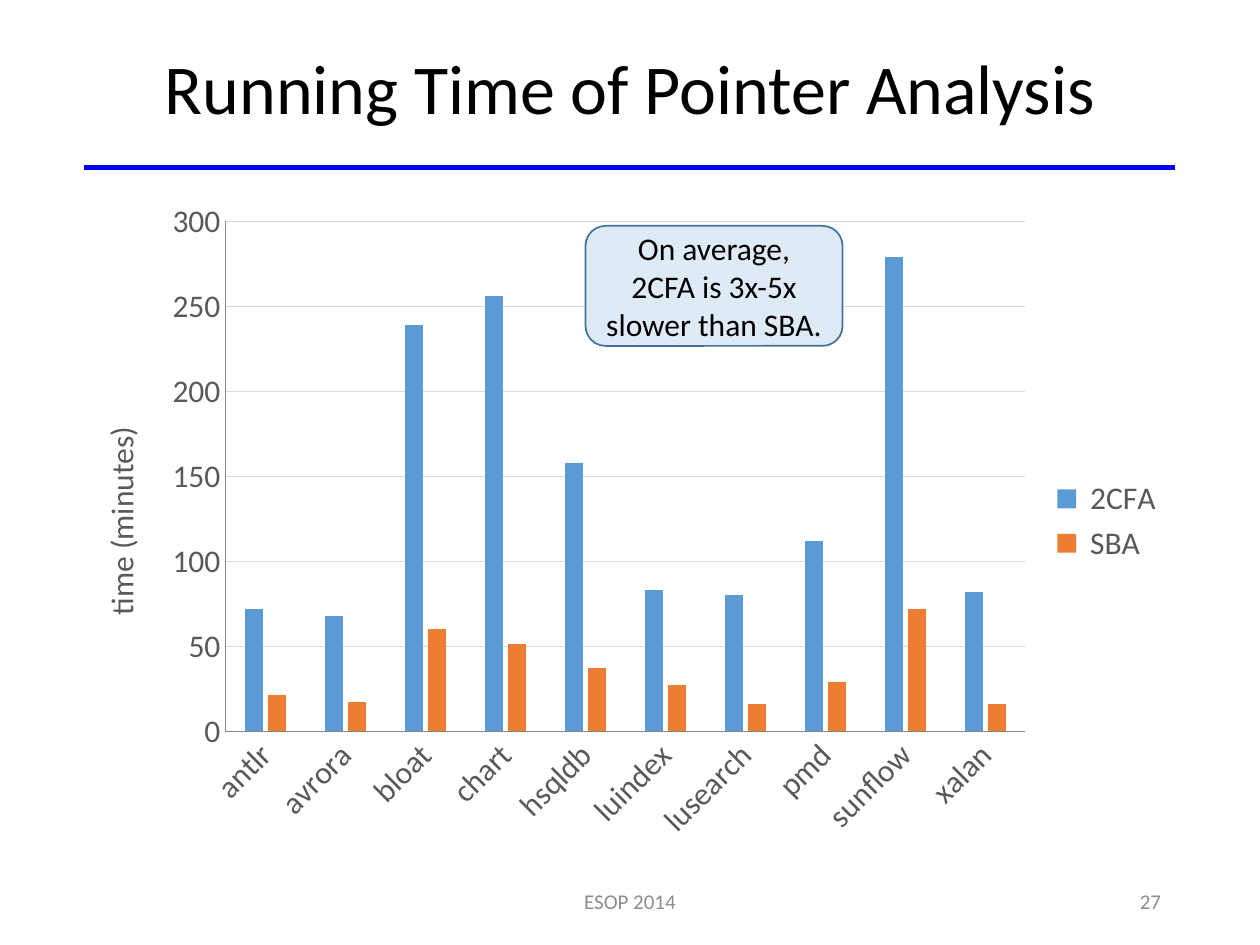
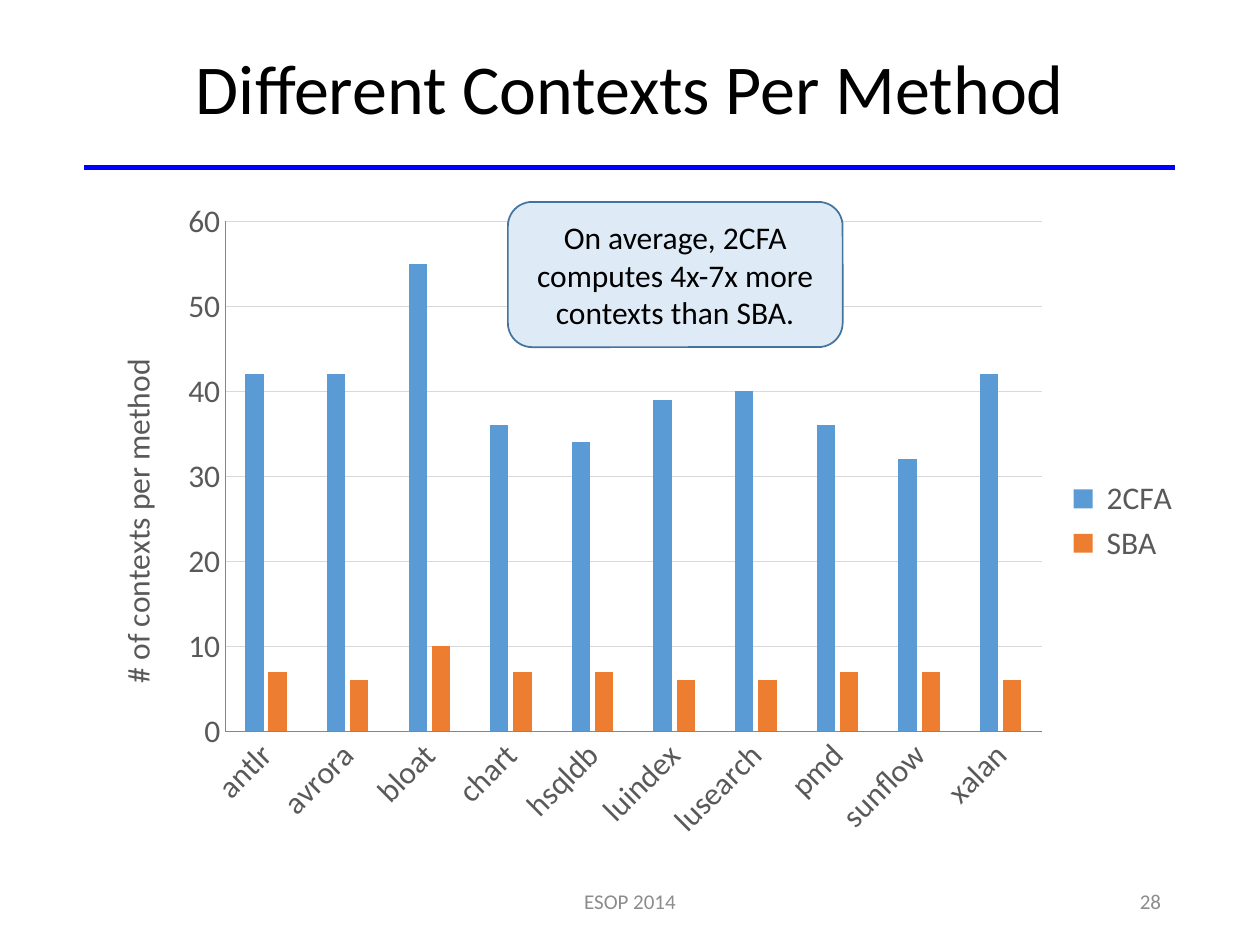
from lxml import etree
from pptx import Presentation
from pptx.chart.data import CategoryChartData
from pptx.dml.color import RGBColor
from pptx.enum.chart import XL_CHART_TYPE, XL_LEGEND_POSITION, XL_TICK_MARK
from pptx.enum.shapes import MSO_CONNECTOR, MSO_SHAPE
from pptx.enum.text import MSO_ANCHOR, PP_ALIGN
from pptx.oxml.ns import qn
from pptx.util import Pt

COLUMN = XL_CHART_TYPE.COLUMN_CLUSTERED
LEGEND_RIGHT = XL_LEGEND_POSITION.RIGHT
NO_TICK = XL_TICK_MARK.NONE
STRAIGHT = MSO_CONNECTOR.STRAIGHT
ROUND = MSO_SHAPE.ROUNDED_RECTANGLE
MIDDLE = MSO_ANCHOR.MIDDLE
CENTER, RIGHT = PP_ALIGN.CENTER, PP_ALIGN.RIGHT

FONT = "Calibri"
COLORS = {
    "text": "000000", "label": "595959", "foot": "8C8C8C", "rule": "0000FF",
    "axis": "868686", "grid": "D9D9D9", "note": "DEEBF7", "edge": "43739E",
    "2CFA": "5B9BD5", "SBA": "ED7D31",
}
TESTS = ["antlr", "avrora", "bloat", "chart", "hsqldb",
         "luindex", "lusearch", "pmd", "sunflow", "xalan"]

# "inner" (the bars' area) and "head" (the axis title) are in points from
# the chart's corner.
SLIDES = [
    dict(title="Running Time of Pointer Analysis", page=27,
         note="On average, 2CFA is 3x-5x slower than SBA.",
         note_box=(334.6, 129.1, 146.9, 68.6),
         plot=dict(box=(40.3, 108, 632, 379.5), axis="time (minutes)",
                   top=300, step=50, inner=(88.5, 18.5, 457.2, 291.4),
                   head=(13.2, 132.6),
                   rows={"2CFA": [72, 68, 239, 256, 158, 83, 80, 112, 279, 82],
                         "SBA": [21, 17, 60, 51, 37, 27, 16, 29, 72, 16]})),
    dict(title="Different Contexts Per Method", page=28,
         note="On average, 2CFA computes 4x-7x more contexts than SBA.",
         note_box=(290.2, 115.4, 191.3, 83),
         plot=dict(box=(49.7, 108, 632, 379.5), axis="# of contexts per method",
                   top=60, step=10, inner=(79, 18.5, 466.5, 291.4),
                   head=(13.2, 94.1),
                   rows={"2CFA": [42, 42, 55, 36, 34, 39, 40, 36, 32, 42],
                         "SBA": [7, 6, 10, 7, 7, 6, 6, 7, 7, 6]})),
]


def rgb(name):
    return RGBColor.from_string(COLORS[name])


def style(font, size=18, color="label"):
    font.name, font.size, font.bold = FONT, Pt(size), False
    font.color.rgb = rgb(color)


def stroke(line, color, width):
    line.color.rgb = rgb(color)
    line.width = Pt(width)


def write(frame, text, size=18, color="text", align=CENTER, space=1.0):
    frame.word_wrap = True
    frame.vertical_anchor = MIDDLE
    para = frame.paragraphs[0]
    para.alignment, para.line_spacing = align, space
    run = para.add_run()
    run.text = text
    style(run.font, size, color)


def add_text(slide, box, text, **form):
    write(slide.shapes.add_textbox(*map(Pt, box)).text_frame, text, **form)


def add_frame(slide, title, page):
    """Draw the title, the rule below it and the footer."""
    add_text(slide, (49.5, 11, 621, 83), title, size=40, space=0.9)
    rule = slide.shapes.add_connector(
        STRAIGHT, Pt(48.3), Pt(95.7), Pt(671.7), Pt(95.7))
    stroke(rule.line, "rule", 3)
    etree.SubElement(rule._element.spPr, qn("a:effectLst"))
    foot = dict(size=12, color="foot")
    add_text(slide, (238.5, 500.5, 243, 28.8), "ESOP 2014", **foot)
    add_text(slide, (508.5, 500.5, 162, 28.8), str(page), align=RIGHT, **foot)


def set_layout(part, box, spot, inner=False):
    """Pin a chart part at a spot given in points within the chart's box."""
    layout = part.find(qn("c:layout"))
    if layout is None:
        layout = etree.Element(qn("c:layout"))
        text = part.find(qn("c:tx"))
        if text is None:
            part.insert(0, layout)
        else:
            text.addnext(layout)
    for child in list(layout):
        layout.remove(child)
    manual = etree.SubElement(layout, qn("c:manualLayout"))
    rules = {"layoutTarget": "inner"} if inner else {}
    rules.update(xMode="edge", yMode="edge")
    wide, high = box[2:]
    for key, value, full in zip("xywh", spot, (wide, high, wide, high)):
        rules[key] = value / full
    for key, value in rules.items():
        etree.SubElement(manual, qn("c:" + key)).set("val", str(value))


def add_plot(slide, box, axis, top, step, inner, head, rows):
    data = CategoryChartData()
    data.categories = TESTS
    for name, values in rows.items():
        data.add_series(" " + name, values)
    chart = slide.shapes.add_chart(COLUMN, *map(Pt, box), data).chart
    style(chart.font, color="text")
    chart.has_title = False
    chart.has_legend = True
    chart.legend.position = LEGEND_RIGHT
    chart.legend.include_in_layout = False
    style(chart.legend.font)

    bars = chart.plots[0]
    bars.gap_width, bars.overlap, bars.vary_by_categories = 219, -27, False
    for name, series in zip(rows, bars.series):
        series.format.fill.solid()
        series.format.fill.fore_color.rgb = rgb(name)

    tests, scale = chart.category_axis, chart.value_axis
    for side in (tests, scale):
        side.major_tick_mark = side.minor_tick_mark = NO_TICK
        style(side.tick_labels.font)
        stroke(side.format.line, "axis", 0.75)
    turn = tests._element.find(qn("c:txPr")).find(qn("a:bodyPr"))
    turn.set("rot", "-2700000")
    scale.minimum_scale, scale.maximum_scale = 0, top
    scale.major_unit = step
    stroke(scale.major_gridlines.format.line, "grid", 0.75)

    frame = scale.axis_title.text_frame
    frame.text = axis
    style(frame.paragraphs[0].runs[0].font)
    frame._txBody.find(qn("a:bodyPr")).set("rot", "-5400000")
    set_layout(scale.axis_title._element, box, head)
    set_layout(chart._chartSpace.chart.plotArea, box, inner, inner=True)


def add_note(slide, box, text):
    note = slide.shapes.add_shape(ROUND, *map(Pt, box))
    note.shadow.inherit = False
    note.fill.solid()
    note.fill.fore_color.rgb = rgb("note")
    stroke(note.line, "edge", 1)
    write(note.text_frame, text)


def main():
    deck = Presentation()
    deck.slide_width, deck.slide_height = Pt(720), Pt(540)
    for item in SLIDES:
        slide = deck.slides.add_slide(deck.slide_layouts[6])
        add_frame(slide, item["title"], item["page"])
        add_plot(slide, **item["plot"])
        add_note(slide, item["note_box"], item["note"])
    deck.save("out.pptx")


if __name__ == "__main__":
    main()
